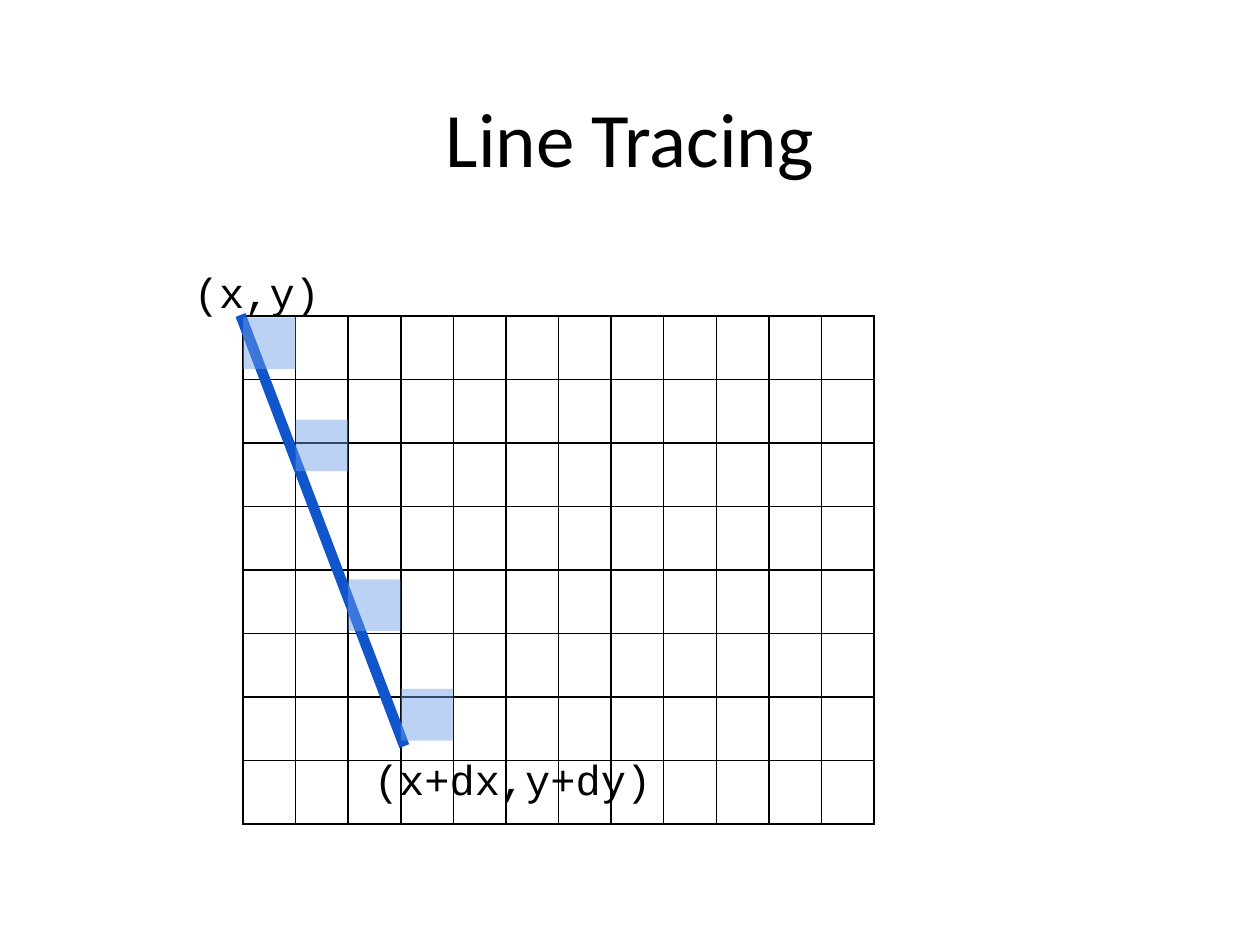
from dataclasses import dataclass

from lxml.etree import SubElement
from pptx import Presentation
from pptx.dml.color import RGBColor
from pptx.enum.shapes import MSO_CONNECTOR, MSO_SHAPE
from pptx.enum.text import MSO_ANCHOR, PP_ALIGN
from pptx.oxml import parse_xml
from pptx.oxml.ns import nsdecls, qn
from pptx.util import Cm, Pt


@dataclass(frozen=True)
class Theme:
    ink: str = "000000"
    line: str = "1155CC"
    pixel: str = "6D9EEB"
    alpha: int = 46
    head: str = "Calibri"
    code: str = "Courier New"
    big: int = 44
    mid: int = 24
    trace: int = 6
    rule: int = 1


@dataclass(frozen=True)
class Label:
    text: str
    left: float
    top: float
    width: float
    height: float
    font: str
    size: int
    align: PP_ALIGN = PP_ALIGN.LEFT
    anchor: MSO_ANCHOR = MSO_ANCHOR.TOP


@dataclass(frozen=True)
class Grid:
    left: float
    top: float
    cols: int
    rows: int
    wide: float
    high: float


THEME = Theme()
GRID = Grid(4.9, 6.37, 12, 8, 1.06, 1.28)
SIDE = 1.04
PIXELS = (6.4, 8.46, 11.68, 13.89)  # top of the lit pixel in each column
START, END = (4.85, 6.35), (8.15, 15.04)
LABELS = (
    Label("Line Tracing", 1.27, 0.76, 22.86, 3.18, THEME.head, THEME.big,
          PP_ALIGN.CENTER, MSO_ANCHOR.BOTTOM),
    Label("(x,y)", 3.66, 5.13, 3.89, 1.22, THEME.code, THEME.mid),
    Label("(x+dx,y+dy)", 7.29, 14.94, 7.75, 1.22, THEME.code, THEME.mid),
)


def assign(target, values: dict) -> None:
    for name, value in values.items():
        setattr(target, name, value)


def add_label(slide, label: Label) -> None:
    box = slide.shapes.add_textbox(Cm(label.left), Cm(label.top),
                                   Cm(label.width), Cm(label.height))
    inset = Cm(0.25)
    frame = box.text_frame
    assign(frame, {"word_wrap": True, "vertical_anchor": label.anchor,
                   "margin_left": inset, "margin_right": inset,
                   "margin_top": inset, "margin_bottom": inset})
    para = frame.paragraphs[0]
    assign(para, {"text": label.text, "alignment": label.align})
    assign(para.font, {"name": label.font, "size": Pt(label.size)})
    para.font.color.rgb = RGBColor.from_string(THEME.ink)


def rule_cell(cell) -> None:
    """Give a cell four thin borders and no fill."""
    props = cell._tc.get_or_add_tcPr()
    for side in ("lnL", "lnR", "lnT", "lnB"):
        props.append(parse_xml(
            f'<a:{side} {nsdecls("a")} w="{Pt(THEME.rule)}"><a:solidFill>'
            f'<a:srgbClr val="{THEME.ink}"/></a:solidFill></a:{side}>'))
    cell.fill.background()


def add_grid(slide, grid: Grid) -> None:
    table = slide.shapes.add_table(
        grid.rows, grid.cols, Cm(grid.left), Cm(grid.top),
        Cm(grid.cols * grid.wide), Cm(grid.rows * grid.high)).table
    assign(table, {"first_row": False, "horz_banding": False})
    for cell in table.iter_cells():
        rule_cell(cell)


def add_trace(slide) -> None:
    trace = slide.shapes.add_connector(
        MSO_CONNECTOR.STRAIGHT, *(Cm(n) for n in START + END))
    trace.line.color.rgb = RGBColor.from_string(THEME.line)
    trace.line.width = Pt(THEME.trace)
    SubElement(trace._element.spPr, qn("a:effectLst"))


def add_pixel(slide, left: float, top: float) -> None:
    pixel = slide.shapes.add_shape(MSO_SHAPE.RECTANGLE, Cm(left), Cm(top),
                                   Cm(GRID.wide), Cm(SIDE))
    pixel.shadow.inherit = False
    pixel.line.fill.background()
    pixel.fill.solid()
    pixel.fill.fore_color.rgb = RGBColor.from_string(THEME.pixel)
    tint = pixel._element.spPr.find(".//" + qn("a:srgbClr"))
    SubElement(tint, qn("a:alpha"), val=str(THEME.alpha * 1000))


def main() -> None:
    deck = Presentation()
    assign(deck, {"slide_width": Cm(25.4), "slide_height": Cm(19.05)})
    slide = deck.slides.add_slide(deck.slide_layouts[6])
    title, *points = LABELS
    add_label(slide, title)
    add_grid(slide, GRID)
    add_trace(slide)
    for point in points:
        add_label(slide, point)
    for col, top in enumerate(PIXELS):
        add_pixel(slide, GRID.left + col * GRID.wide, top)
    deck.save("out.pptx")


if __name__ == "__main__":
    main()
